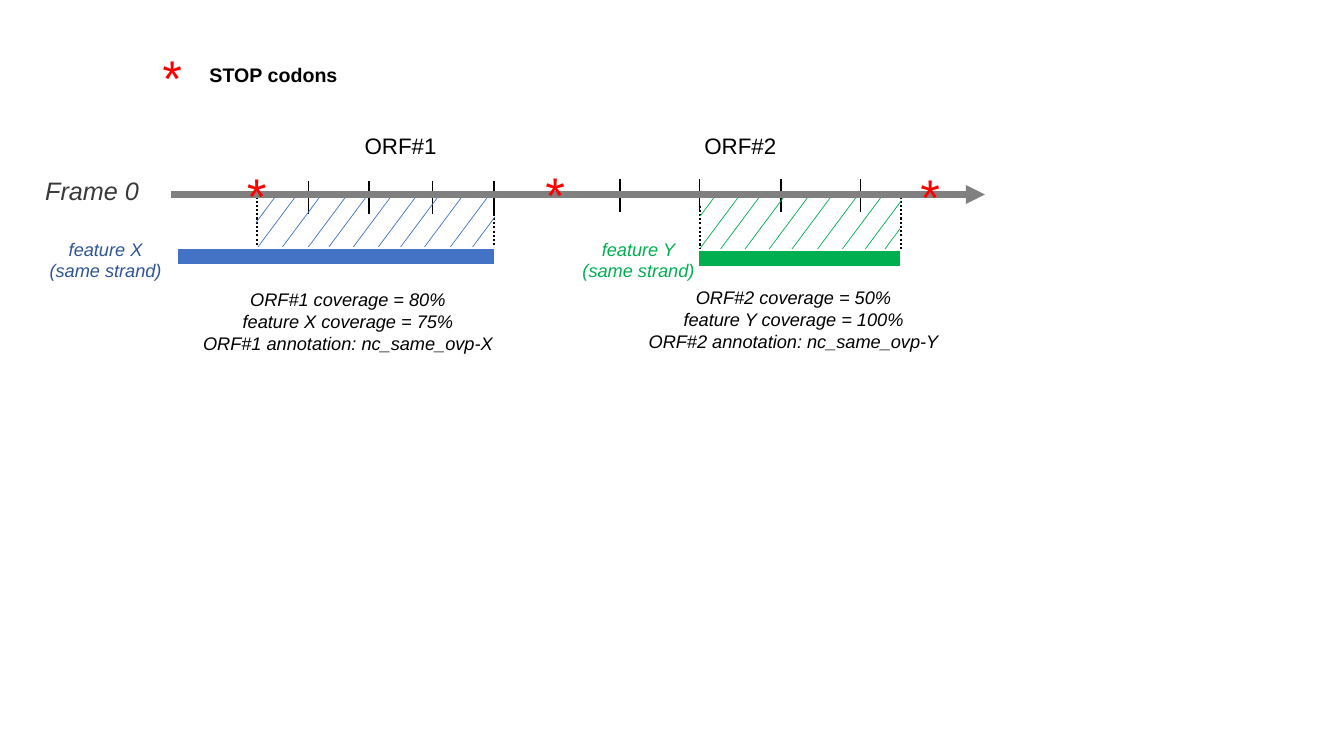
from lxml.etree import SubElement
from pptx import Presentation
from pptx.dml.color import RGBColor
from pptx.enum.dml import MSO_LINE
from pptx.enum.shapes import MSO_CONNECTOR, MSO_SHAPE
from pptx.enum.text import MSO_AUTO_SIZE, PP_ALIGN
from pptx.oxml.ns import qn
from pptx.util import Cm, Pt

COLORS = {
    "black": "000000", "white": "FFFFFF", "frame": "3B3838", "axis": "808080",
    "stop": "FF0000", "blue": "4472C4", "navy": "2F5597", "green": "00B050",
}
HATCH_WIDTH = 1.02
HATCH_SLOPE = 1.34
TICK_HEIGHT = 0.83
DOTTED_HEIGHT = 1.37
X_HATCHES = [
    (6.48, 6.25), (7.06, 6.3), (7.75, 6.25), (8.23, 6.3), (8.81, 6.35),
    (9.5, 6.27), (10.06, 6.27), (10.64, 6.3), (11.33, 6.25),
    (11.68, 6.53, 0.79), (6.45, 5.61, 0.51),
]
Y_HATCHES = [
    (17.65, 6.25), (18.14, 6.3), (18.72, 6.35), (19.35, 6.32), (19.94, 6.3),
    (20.57, 6.32), (21.21, 6.3), (21.69, 6.43),
    (22.02, 6.65, 0.66), (17.65, 5.44, 0.36),
]


def rgb(name):
    return RGBColor.from_string(COLORS[name])


def add_text(s, x, y, w, h, lines, size, color="black", font="Arial",
             bold=False, italic=False, align=PP_ALIGN.LEFT, wrap=False):
    tf = s.shapes.add_textbox(Cm(x), Cm(y), Cm(w), Cm(h)).text_frame
    tf.text = "\n".join(lines)
    tf.word_wrap = wrap
    tf.auto_size = MSO_AUTO_SIZE.SHAPE_TO_FIT_TEXT
    for p in tf.paragraphs:
        p.alignment = align
        p.font.name = font
        p.font.size = Pt(size)
        p.font.bold = bold
        p.font.italic = italic
        p.font.color.rgb = rgb(color)


def add_line(shapes, x1, y1, x2, y2, color, width):
    sp = shapes.add_connector(MSO_CONNECTOR.STRAIGHT, Cm(x1), Cm(y1), Cm(x2), Cm(y2))
    sp.line.color.rgb = rgb(color)
    sp.line.width = Pt(width)
    SubElement(sp._element.spPr, qn("a:effectLst"))
    return sp


def add_ticks(s, xs, top):
    group = s.shapes.add_group_shape()
    for x in xs:
        add_line(group.shapes, x, top + TICK_HEIGHT, x, top, "black", 1)


def add_dotted(s, x, top):
    sp = add_line(s.shapes, x, top, x, top + DOTTED_HEIGHT, "black", 1.5)
    sp.line.dash_style = MSO_LINE.ROUND_DOT


def add_hatch(s, color, x, y, width=HATCH_WIDTH):
    add_line(s.shapes, x, y, x + width, y - width * HATCH_SLOPE, color, 0.5)


def add_axis(s):
    sp = add_line(s.shapes, 4.32, 4.9, 24.82, 4.9, "axis", 4.5)
    SubElement(sp.line._get_or_add_ln(), qn("a:tailEnd"), type="triangle")


def add_bar(s, x, y, w, h, color):
    sp = s.shapes.add_shape(MSO_SHAPE.RECTANGLE, Cm(x), Cm(y), Cm(w), Cm(h))
    sp.shadow.inherit = False
    sp.fill.solid()
    sp.fill.fore_color.rgb = rgb(color)
    sp.line.color.rgb = rgb("white")
    sp.line.width = Pt(1)


def add_stop(s, x, y):
    add_text(s, x, y, 1.3, 1.8, ["*"], 36, "stop", "Courier New")


def add_feature(s, x, letter, color):
    add_text(s, x, 5.87, 3.38, 1.37, [f"feature {letter}", "(same strand)"], 13,
             color, italic=True, align=PP_ALIGN.CENTER)


def add_summary(s, x, y, number, letter, orf_coverage, feature_coverage):
    lines = [
        f"ORF#{number} coverage = {orf_coverage}%",
        f"feature {letter} coverage = {feature_coverage}%",
        f"ORF#{number} annotation: nc_same_ovp-{letter}",
    ]
    add_text(s, x, y, 8.69, 1.93, lines, 13, italic=True,
             align=PP_ALIGN.CENTER, wrap=True)


def main():
    prs = Presentation()
    prs.slide_width, prs.slide_height = Cm(33.87), Cm(19.05)
    s = prs.slides.add_slide(prs.slide_layouts[6])

    add_text(s, 5.03, 1.45, 3.76, 0.86, ["STOP codons"], 14, bold=True)
    add_text(s, 0.89, 4.29, 2.9, 1.02, ["Frame 0"], 18, "frame", italic=True)
    for x, label in [(8.94, "ORF#1"), (17.5, "ORF#2")]:
        add_text(s, x, 3.2, 2.34, 0.94, [label], 16)
    add_feature(s, 0.97, "X", "navy")
    add_feature(s, 14.4, "Y", "green")
    add_summary(s, 4.42, 7.14, 1, "X", 80, 75)
    add_summary(s, 15.65, 7.09, 2, "Y", 50, 100)

    add_ticks(s, [7.77, 9.3, 10.9, 12.45], 4.55)
    add_ticks(s, [15.62, 17.63, 19.68, 21.69], 4.5)
    for x, top in [(6.48, 4.95), (12.45, 5.28), (17.63, 5.18), (22.71, 4.95)]:
        add_dotted(s, x, top)
    for color, hatches in [("blue", X_HATCHES), ("green", Y_HATCHES)]:
        for hatch in hatches:
            add_hatch(s, color, *hatch)

    add_axis(s)
    add_bar(s, 4.47, 6.25, 8, 0.41, "blue")
    add_bar(s, 17.6, 6.3, 5.11, 0.43, "green")
    for x, y in [(3.71, 1.09), (5.84, 4.06), (13.36, 4.04), (22.81, 4.09)]:
        add_stop(s, x, y)

    prs.save("out.pptx")


main()
